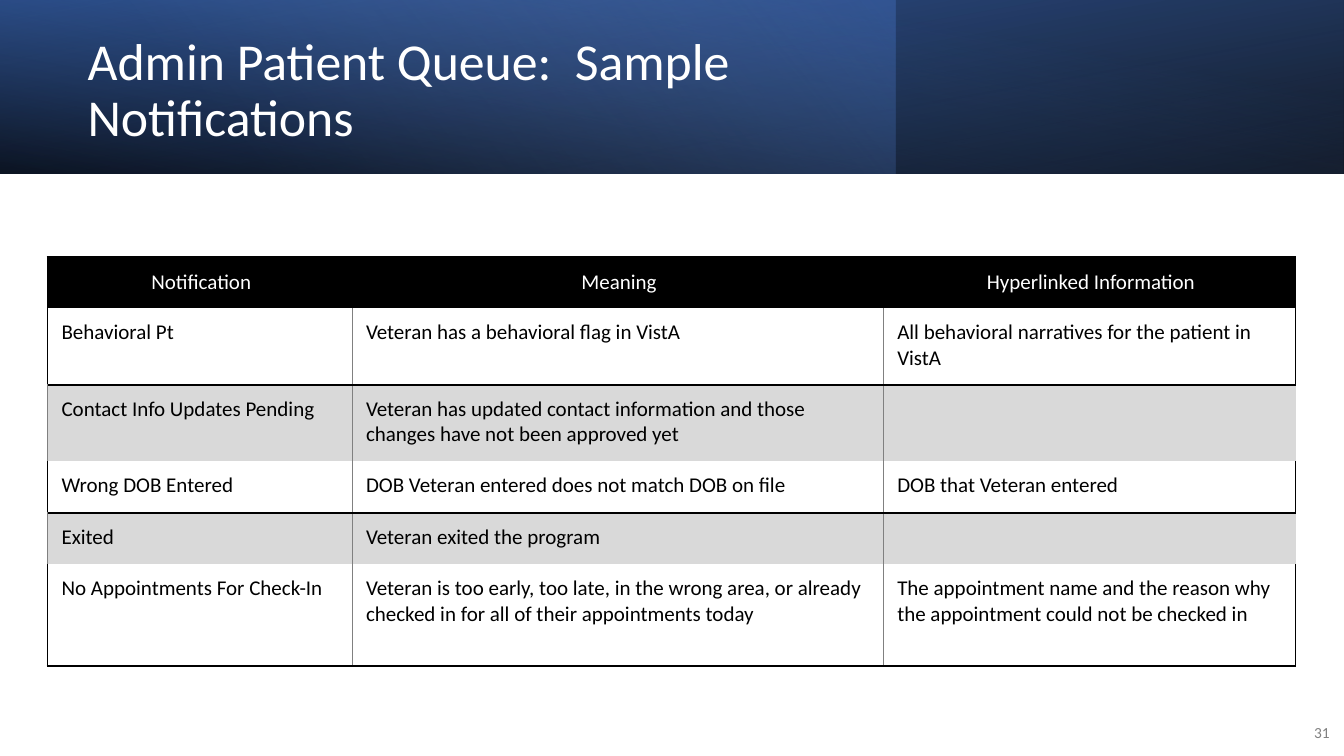
from dataclasses import dataclass

from lxml.etree import SubElement
from pptx import Presentation
from pptx.dml.color import RGBColor
from pptx.enum.shapes import MSO_SHAPE
from pptx.enum.text import MSO_ANCHOR, PP_ALIGN
from pptx.oxml import parse_xml
from pptx.oxml.ns import nsdecls, qn
from pptx.util import Pt


@dataclass(frozen=True)
class Theme:
    font: str = "Calibri"
    title_size: float = 37
    table_size: float = 15
    number_size: float = 11
    black: str = "000000"
    white: str = "FFFFFF"
    grey: str = "808080"
    band: str = "D9D9D9"
    navy: str = "2F5597"
    blue: str = "4472C4"
    sky: str = "8FAADC"


THEME = Theme()
SLIDE_WIDTH, SLIDE_HEIGHT = 960, 540
HEADER_HEIGHT = 124
NO_STYLE = "{2D5ABB26-0587-4C30-8999-92F81FD0307C}"

COLUMN_WIDTHS = [217.5, 379.5, 294.5]
ROW_HEIGHTS = [36.7, 54.7, 54.7, 36.7, 36.7, 72.7]
ROWS = [
    ("Notification", "Meaning", "Hyperlinked Information"),
    ("Behavioral Pt", "Veteran has a behavioral flag in VistA",
     "All behavioral narratives for the patient in VistA"),
    ("Contact Info Updates Pending",
     "Veteran has updated contact information and those changes have not been approved yet", ""),
    ("Wrong DOB Entered", "DOB Veteran entered does not match DOB on file",
     "DOB that Veteran entered"),
    ("Exited", "Veteran exited the program", ""),
    ("No Appointments For Check-In",
     "Veteran is too early, too late, in the wrong area, or already checked in "
     "for all of their appointments today",
     "The appointment name and the reason why the appointment could not be checked in"),
]


def set_attributes(target, values):
    for name, value in values.items():
        setattr(target, name, value)


def write_text(frame, text, size, color, **paragraph_format):
    paragraph = frame.paragraphs[0]
    set_attributes(paragraph, paragraph_format)
    run = paragraph.add_run()
    run.text = text
    set_attributes(run.font, {"name": THEME.font, "size": Pt(size)})
    run.font.color.rgb = RGBColor.from_string(color)


def add_text(slide, box, text, size, color, **paragraph_format):
    frame = slide.shapes.add_textbox(*map(Pt, box)).text_frame
    set_attributes(frame, {"word_wrap": True, "vertical_anchor": MSO_ANCHOR.MIDDLE})
    write_text(frame, text, size, color, **paragraph_format)


def add_gradient(slide, box, stops, angle, rotation=0, flipped=False):
    """Stops are (position, color, opacity), in percent; the angle is in degrees."""
    shape = slide.shapes.add_shape(MSO_SHAPE.RECTANGLE, *map(Pt, box))
    shape.shadow.inherit = False
    shape.line.fill.background()
    shape.rotation = rotation
    properties = shape.element.spPr
    if flipped:
        properties.find(qn("a:xfrm")).set("flipH", "1")
    stop_xml = "".join(
        f'<a:gs pos="{position * 1000}"><a:srgbClr val="{color}">'
        f'<a:alpha val="{opacity * 1000}"/></a:srgbClr></a:gs>'
        for position, color, opacity in stops)
    gradient = parse_xml(
        f'<a:gradFill rotWithShape="1" {nsdecls("a")}><a:gsLst>{stop_xml}</a:gsLst>'
        f'<a:lin ang="{angle * 60000}" scaled="0"/></a:gradFill>')
    properties.find(qn("a:prstGeom")).addnext(gradient)


def add_header(slide, box):
    left, top, width, height = box
    add_gradient(slide, box, [(0, THEME.black, 96), (100, THEME.navy, 100)], 100,
                 rotation=180, flipped=True)
    add_gradient(slide, (left, top, width * 2 / 3, height),
                 [(0, THEME.blue, 41), (74, THEME.sky, 0)], 140)
    add_gradient(slide, box, [(0, THEME.black, 63), (78, THEME.blue, 15)], 260, flipped=True)
    add_text(slide, (left + 55.5, top + 19.5, 556, 91.5),
             "Admin Patient Queue:  Sample Notifications",
             THEME.title_size, THEME.white, line_spacing=0.9)


def cell_borders(row, column):
    """Map each ruled side of a cell to its color and width."""
    thick, thin = (THEME.black, 1.5), (THEME.grey, 0.5)
    last = column == len(COLUMN_WIDTHS) - 1
    if row == 0:
        borders = {"L": thick, "R": thick, "T": thick}
    elif row % 2:
        borders = {"L": thin if column else thick, "R": thick if last else thin, "B": thick}
    else:
        borders = {"L": thin, "T": thick}
        if not last:
            borders["R"] = thin
    return borders


def draw_borders(cell, borders):
    properties = cell._tc.get_or_add_tcPr()
    for side in "LRTB":
        line = SubElement(properties, qn(f"a:ln{side}"))
        if side in borders:
            color, width = borders[side]
            line.set("w", str(Pt(width)))
            fill = SubElement(line, qn("a:solidFill"))
            SubElement(fill, qn("a:srgbClr")).set("val", color)
        else:
            SubElement(line, qn("a:noFill"))


def fill_cell(cell, row, column, text):
    header = row == 0
    set_attributes(cell, {
        "margin_left": Pt(10), "margin_right": Pt(8),
        "margin_top": Pt(8), "margin_bottom": Pt(8),
        "vertical_anchor": MSO_ANCHOR.MIDDLE if header else MSO_ANCHOR.TOP})
    draw_borders(cell, cell_borders(row, column))
    if row % 2:
        cell.fill.background()
    else:
        cell.fill.solid()
        cell.fill.fore_color.rgb = RGBColor.from_string(THEME.black if header else THEME.band)
    if text:
        write_text(cell.text_frame, text, THEME.table_size,
                   THEME.white if header else THEME.black,
                   alignment=PP_ALIGN.CENTER if header else PP_ALIGN.LEFT)
    else:
        cell.text_frame.paragraphs[0].font.size = Pt(THEME.table_size)


def add_notification_table(slide, left, top):
    frame = slide.shapes.add_table(
        len(ROWS), len(COLUMN_WIDTHS), Pt(left), Pt(top),
        Pt(sum(COLUMN_WIDTHS)), Pt(sum(ROW_HEIGHTS)))
    table = frame.table
    table.horz_banding = False
    table._tbl.tblPr.find(qn("a:tableStyleId")).text = NO_STYLE
    for column, width in zip(table.columns, COLUMN_WIDTHS):
        column.width = Pt(width)
    for row, height in zip(table.rows, ROW_HEIGHTS):
        row.height = Pt(height)
    for row, texts in enumerate(ROWS):
        for column, text in enumerate(texts):
            fill_cell(table.cell(row, column), row, column, text)


def main():
    presentation = Presentation()
    set_attributes(presentation, {
        "slide_width": Pt(SLIDE_WIDTH), "slide_height": Pt(SLIDE_HEIGHT)})
    slide = presentation.slides.add_slide(presentation.slide_layouts[6])
    add_header(slide, (0, 0, SLIDE_WIDTH, HEADER_HEIGHT))
    add_text(slide, (921.5, 508.5, 35.5, 28.5), "31", THEME.number_size, THEME.grey,
             alignment=PP_ALIGN.RIGHT, space_after=Pt(6))
    add_notification_table(slide, 34, 183.6)
    presentation.save("out.pptx")


if __name__ == "__main__":
    main()
